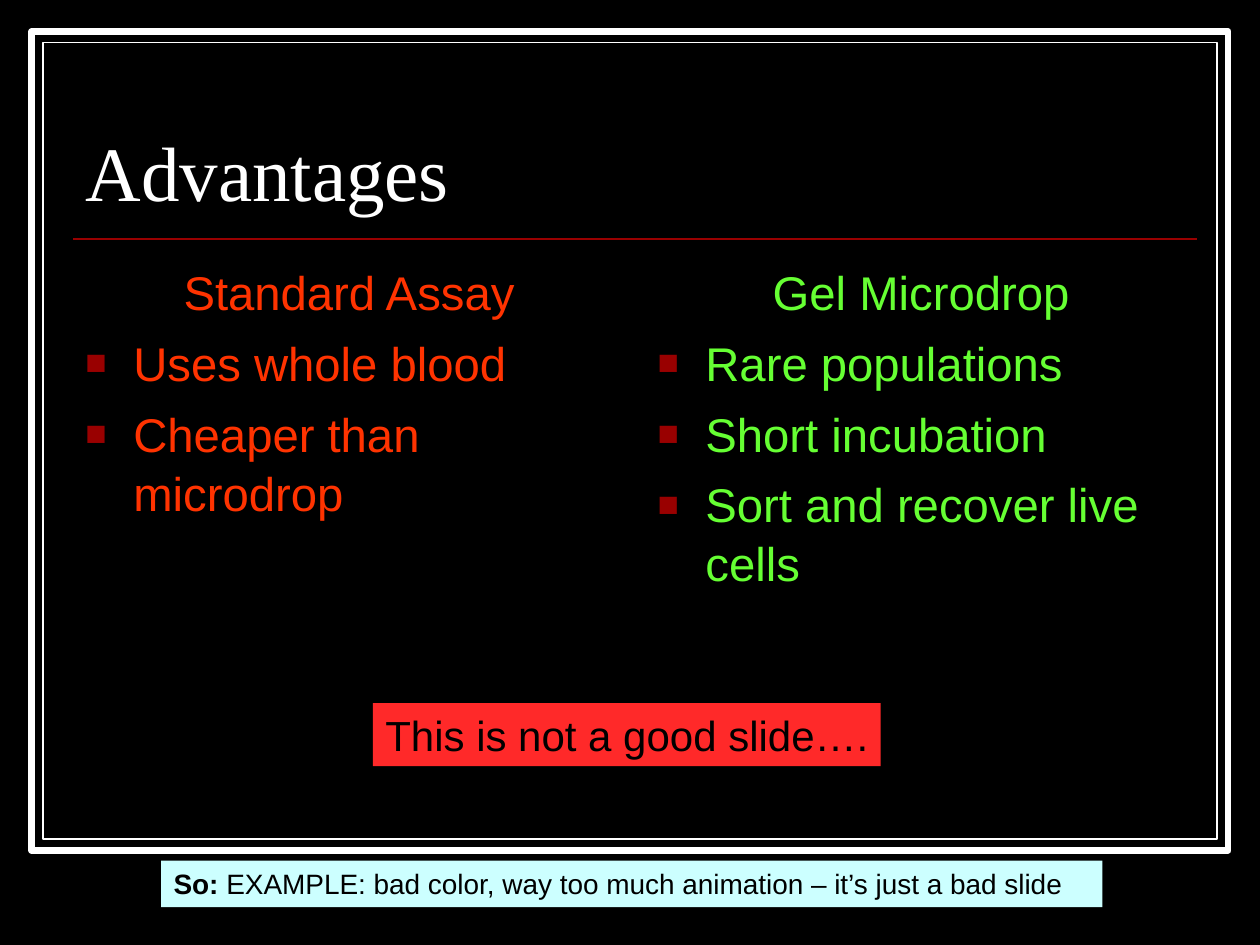
from collections import namedtuple
from lxml.etree import SubElement as Sub
from pptx import Presentation
from pptx.dml.color import RGBColor as Rgb
from pptx.enum.shapes import MSO_CONNECTOR as Link, MSO_SHAPE as Form
from pptx.enum.text import MSO_ANCHOR as Anchor, PP_ALIGN as Align
from pptx.oxml.ns import qn
from pptx.util import Inches, Pt

HUES = {
    "back": "000000", "ink": "FFFFFF", "rule": "990000", "warm": "FF3300",
    "lime": "66FF33", "pale": "CCFFFF", "alert": "FF2929",
}
SANS, SERIF = "Arial", "Times New Roman"
WIDE, HIGH = Inches(10), Inches(7.5)
Box = namedtuple("Box", "x y w h")


def share(x, y, w, h):
    return Box(*(int(v * full / 100) for v, full in
                 zip((x, y, w, h), (WIDE, HIGH, WIDE, HIGH))))


def inset(box, gap):
    return Box(box.x + gap, box.y + gap, box.w - 2 * gap, box.h - 2 * gap)


def tint(name):
    return Rgb.from_string(HUES[name])


def style(item, **looks):
    for key, value in looks.items():
        setattr(item, key, value)


def write(para, text, hue, **looks):
    run = para.add_run()
    run.text = text
    style(run.font, **looks)
    run.font.color.rgb = tint(hue)


def panel(slide, box, fill, edge=None):
    shape = slide.shapes.add_shape(Form.RECTANGLE, *box)
    shape.shadow.inherit = False
    shape.fill.solid()
    shape.fill.fore_color.rgb = tint(fill)
    if edge:
        shape.line.color.rgb = tint("ink")
        shape.line.width = Pt(edge)
    else:
        shape.line.fill.background()
    return shape


def frame(slide, box):
    panel(slide, box, "back", 3.5)
    panel(slide, inset(box, Inches(0.09)), "back", 0.75)


def title(slide, box, text):
    body = slide.shapes.add_textbox(*box).text_frame
    style(body, word_wrap=True, vertical_anchor=Anchor.BOTTOM)
    para = body.paragraphs[0]
    para.line_spacing = 0.8
    write(para, text, "ink", size=Pt(44), name=SERIF)
    low = box.y + int(box.h * 1.1)
    line = slide.shapes.add_connector(Link.STRAIGHT, box.x, low, box.x + box.w, low)
    line.line.color.rgb = tint("rule")
    line.line.width = Pt(1)
    Sub(line._element.spPr, qn("a:effectLst"))


def indent(para, marked):
    props = para._p.get_or_add_pPr()
    props.set("marL", str(Inches(0.38)))
    props.set("indent", str(-Inches(0.38)))
    if marked:
        color = Sub(props, qn("a:buClr"))
        Sub(color, qn("a:srgbClr"), val=HUES["rule"])
        Sub(props, qn("a:buSzPct"), val="75000")
        Sub(props, qn("a:buFont"), typeface=SANS)
        Sub(props, qn("a:buChar"), char="■")
    else:
        Sub(props, qn("a:buNone"))


def column(slide, box, hue, head, points):
    body = slide.shapes.add_textbox(*box).text_frame
    style(body, word_wrap=True, margin_top=Inches(0.07))
    for row, text in enumerate([head, *points]):
        para = body.add_paragraph() if row else body.paragraphs[0]
        indent(para, row > 0)
        para.line_spacing = 1.04
        if row:
            para.space_before = Pt(6.8)
        else:
            para.alignment = Align.CENTER
        write(para, text, hue, size=Pt(27), name=SANS)


def label(slide, box, fill, size, parts, wrap=True):
    body = panel(slide, box, fill).text_frame
    style(body, word_wrap=wrap, vertical_anchor=Anchor.TOP)
    para = body.paragraphs[0]
    para.alignment = Align.LEFT
    for text, bold in parts:
        write(para, text, "back", size=Pt(size), name=SANS, bold=bold)


def main():
    deck = Presentation()
    style(deck, slide_width=WIDE, slide_height=HIGH)
    slide = deck.slides.add_slide(deck.slide_layouts[6])
    fill = slide.background.fill
    fill.solid()
    fill.fore_color.rgb = tint("back")

    frame(slide, share(2.5, 3.33, 95, 86.67))
    title(slide, share(5.8, 6.93, 89.2, 16.67), "Advantages")
    lists = [
        ("warm", "Standard Assay", ["Uses whole blood", "Cheaper than microdrop"]),
        ("lime", "Gel Microdrop",
         ["Rare populations", "Short incubation", "Sort and recover live cells"]),
    ]
    for col, (hue, head, points) in enumerate(lists):
        box = share(5.8 + 45.4 * col, 26.67, 43.8, 58.93)
        column(slide, box, hue, head, points)
    label(slide, share(12.8, 91.07, 74.7, 4.93), "pale", 16, [
        ("So:", True),
        (" EXAMPLE: bad color, way too much animation – it’s just a bad slide", False),
    ])
    label(slide, share(29.6, 74.4, 40.3, 6.67), "alert", 24,
          [("This is not a good slide….", False)], wrap=False)
    deck.save("out.pptx")


if __name__ == "__main__":
    main()
